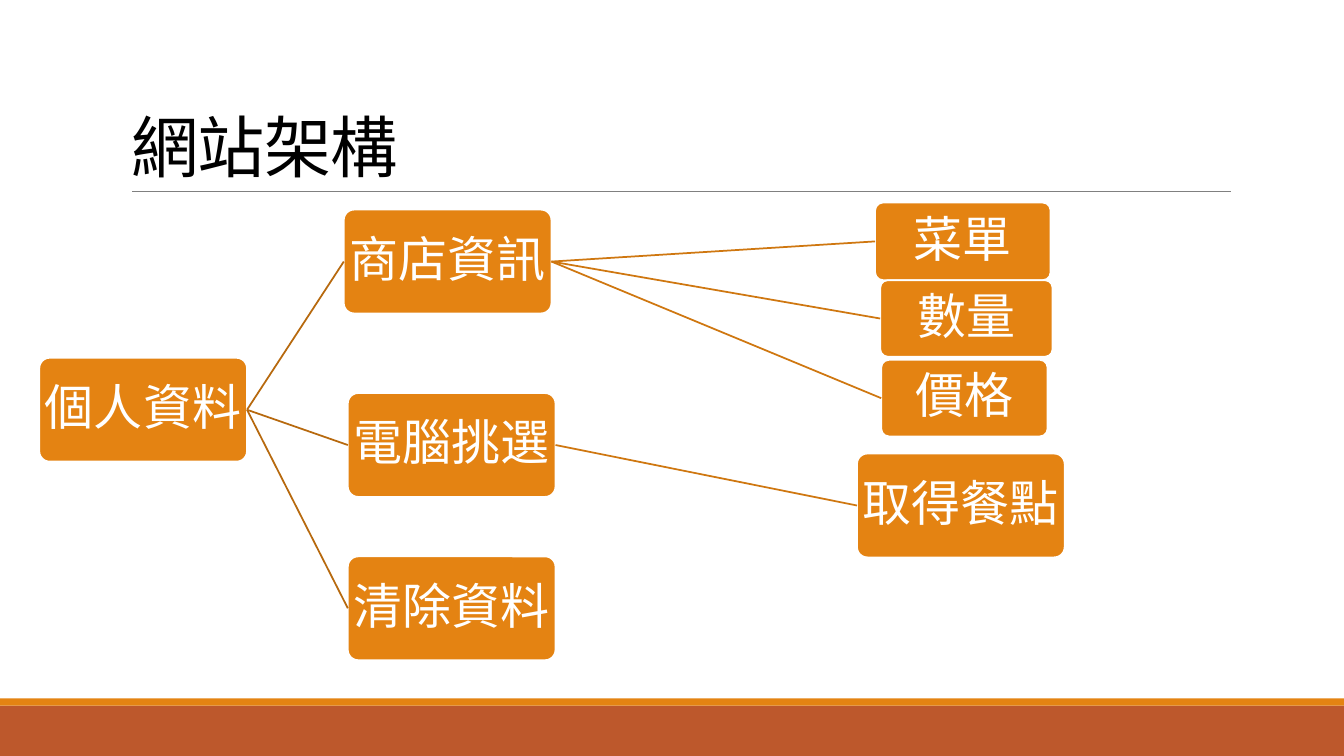
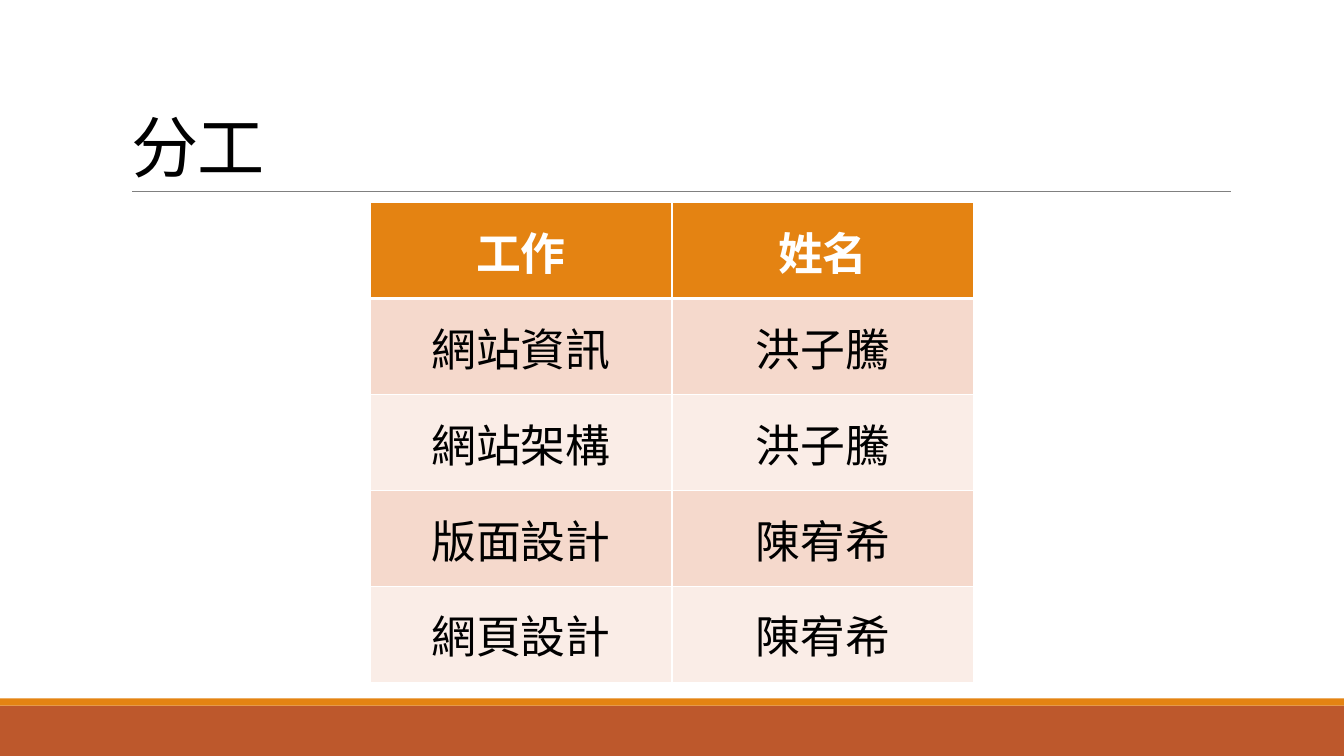
"""Build two slides: a website structure tree and a table of who does what."""
from lxml import etree
from pptx import Presentation
from pptx.dml.color import RGBColor
from pptx.enum import shapes, text
from pptx.oxml import ns
from pptx.util import Inches, Pt

FONT = "Noto Sans CJK SC"
WHITE, BLACK, GRAY = "FFFFFF", "000000", "808080"
ORANGE, RUST = "E48312", "BD582C"
BRANCH_LINES = ["B7690E", "CF7710"]
ROW_FILLS = ["F5D9CC", "FAEDE7"]

SLIDE_W, SLIDE_H = 13.33, 7.5
BANDS = [(7, 0.5, RUST), (6.93, 0.07, ORANGE)]
TITLE_BOX = (1.2, 0.31, 11, 1.59)

BIG = (2.06, 1.03)
NODES = {
    "個人資料": (0.39, 3.55, *BIG),
    "商店資訊": (3.41, 2.08, *BIG),
    "電腦挑選": (3.45, 3.9, *BIG),
    "清除資料": (3.45, 5.52, *BIG),
    "菜單": (8.68, 2.01, 1.74, 0.77),
    "數量": (8.73, 2.78, 1.71, 0.76),
    "價格": (8.74, 3.57, 1.65, 0.76),
    "取得餐點": (8.5, 4.5, *BIG),
}
BRANCHES = [
    {"個人資料": ["商店資訊", "電腦挑選", "清除資料"]},
    {"商店資訊": ["菜單", "數量", "價格"], "電腦挑選": ["取得餐點"]},
]

TABLE_BOX = (3.67, 2.01, 5.99, 4.76)
JOBS = [
    ("工作", "姓名"),
    ("網站資訊", "洪子騰"),
    ("網站架構", "洪子騰"),
    ("版面設計", "陳宥希"),
    ("網頁設計", "陳宥希"),
]


def rgb(color):
    return RGBColor.from_string(color)


def inches(*lengths):
    return [Inches(n) for n in lengths]


def fill(obj, color):
    obj.fill.solid()
    obj.fill.fore_color.rgb = rgb(color)


def write(tf, words, size, color, align=text.PP_ALIGN.CENTER, bold=False, spacing=None):
    tf.text = words
    p = tf.paragraphs[0]
    p.alignment = align
    p.line_spacing = spacing
    f = p.font
    f.name, f.size, f.bold = FONT, Pt(size), bold
    f.color.rgb = rgb(color)
    props = p._p.pPr.find(ns.qn("a:defRPr"))
    etree.SubElement(props, ns.qn("a:ea"), typeface=FONT)
    return props


def add_box(s, kind, box, color):
    sp = s.shapes.add_shape(kind, *inches(*box))
    sp.shadow.inherit = False
    fill(sp, color)
    sp.line.fill.background()
    return sp


def add_line(s, start, end, color, width):
    line = s.shapes.add_connector(shapes.MSO_CONNECTOR.STRAIGHT, *inches(*start, *end))
    line.line.color.rgb = rgb(color)
    line.line.width = Pt(width)
    etree.SubElement(line._element.spPr, ns.qn("a:effectLst"))
    return line


def decorate_layout(layout, s):
    parts = [add_box(s, shapes.MSO_SHAPE.RECTANGLE, (0, top, SLIDE_W, height), color)
             for top, height, color in BANDS]
    parts.append(add_line(s, (1.31, 1.9), (12.21, 1.9), GRAY, 0.5))
    for part in parts:
        layout.shapes._spTree.append(part._element)


def set_title(s, words):
    title = s.shapes.title
    title.left, title.top, title.width, title.height = inches(*TITLE_BOX)
    tf = title.text_frame
    tf.auto_size = text.MSO_AUTO_SIZE.NONE
    tf.vertical_anchor = text.MSO_ANCHOR.BOTTOM
    props = write(tf, words, 48, BLACK, text.PP_ALIGN.LEFT, spacing=0.85)
    props.set("spc", "-50")


def add_node(s, words, box):
    sp = add_box(s, shapes.MSO_SHAPE.ROUNDED_RECTANGLE, box, ORANGE)
    sp.adjustments[0] = 0.1
    sp.line.color.rgb = rgb(WHITE)
    sp.line.width = Pt(1.25)
    tf = sp.text_frame
    tf.margin_left = tf.margin_right = tf.margin_top = tf.margin_bottom = Inches(0.05)
    tf.word_wrap = False
    tf.vertical_anchor = text.MSO_ANCHOR.MIDDLE
    write(tf, words, 35, WHITE, spacing=0.9)
    return sp


def add_tree(s):
    nodes = {words: add_node(s, words, box) for words, box in NODES.items()}
    for color, level in zip(BRANCH_LINES, BRANCHES):
        for parent, children in level.items():
            for child in children:
                line = add_line(s, (0, 0), (1, 1), color, 1.25)
                line.begin_connect(nodes[parent], 3)
                line.end_connect(nodes[child], 1)


def set_borders(cell, widths):
    props = cell._tc.get_or_add_tcPr()
    for i, (side, width) in enumerate(widths.items()):
        ln = etree.Element(ns.qn(f"a:ln{side}"), w=str(Pt(width)))
        paint = etree.SubElement(ln, ns.qn("a:solidFill"))
        etree.SubElement(paint, ns.qn("a:srgbClr"), val=WHITE)
        props.insert(i, ln)


def add_jobs(s):
    table = s.shapes.add_table(len(JOBS), len(JOBS[0]), *inches(*TABLE_BOX)).table
    for r, row in enumerate(JOBS):
        header = r == 0
        for c, words in enumerate(row):
            cell = table.cell(r, c)
            cell.vertical_anchor = text.MSO_ANCHOR.MIDDLE
            fill(cell, ORANGE if header else ROW_FILLS[(r - 1) % 2])
            set_borders(cell, {"L": 1, "R": 1, "T": 3 if r == 1 else 1, "B": 3 if header else 1})
            write(cell.text_frame, words, 32, WHITE if header else BLACK, bold=header)


def main():
    prs = Presentation()
    prs.slide_width, prs.slide_height = inches(SLIDE_W, SLIDE_H)
    layout = prs.slide_layouts[5]
    for words, add_content in [("網站架構", add_tree), ("分工", add_jobs)]:
        s = prs.slides.add_slide(layout)
        if len(prs.slides) == 1:
            decorate_layout(layout, s)
        set_title(s, words)
        add_content(s)
    prs.save("out.pptx")


if __name__ == "__main__":
    main()
